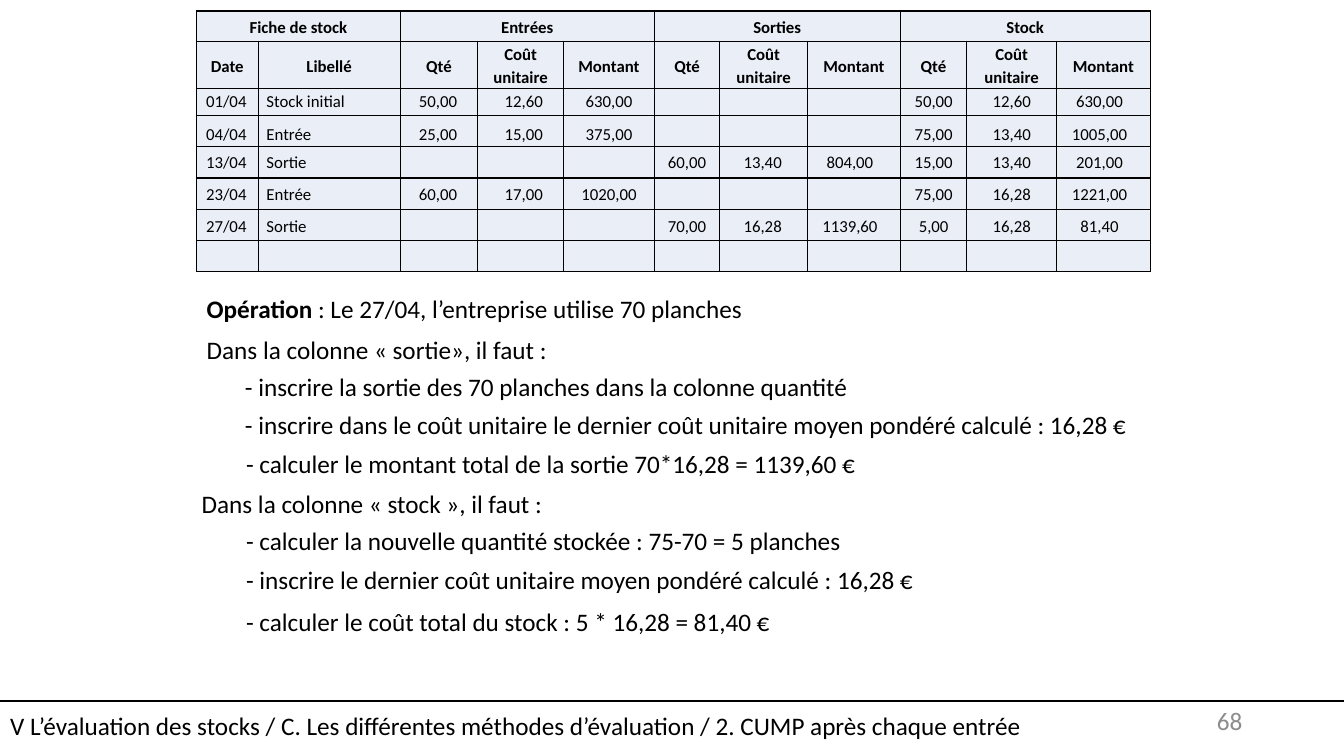
"""Build the stock card slide, on a grid of 1333 columns by 750 rows."""
import typing

import lxml.etree
import pptx
import pptx.dml.color
import pptx.enum.shapes
import pptx.enum.text
import pptx.oxml.ns
import pptx.shapes.base
import pptx.slide
import pptx.table
import pptx.text.text
import pptx.util

ALIGN = pptx.enum.text.PP_ALIGN
ANCHOR = pptx.enum.text.MSO_ANCHOR
FIT = pptx.enum.text.MSO_AUTO_SIZE
GRID_WIDTH, GRID_HEIGHT = 1333, 750
TABLE_LEFT, TABLE_TOP = 195, 11
BLACK, WHITE, GREY, PALE_BLUE = "000000", "FFFFFF", "8C8C8C", "EAEFF7"


class Column(typing.NamedTuple):
    """A table column and the entry boxes centred on it."""
    heading: str
    width: int
    box_width: int
    shift: int = 0
    align: ALIGN = ALIGN.CENTER


class Movement(typing.NamedTuple):
    """A dated stock movement with its entries by column."""
    top: int
    entries: tuple[str, ...]


class Line(typing.NamedTuple):
    """A line of the explanation."""
    text: str
    indent: int
    space: float
    lead: str = ""


COLUMNS = (
    Column("Date", 61, 63, -1),
    Column("Libellé", 141, 136, -4, ALIGN.LEFT),
    Column("Qté", 77, 71, -1),
    Column("Coût unitaire", 85, 87, 3),
    Column("Montant", 90, 87),
    Column("Qté", 65, 66),
    Column("Coût unitaire", 87, 87, -1),
    Column("Montant", 92, 87, -4),
    Column("Qté", 66, 71),
    Column("Coût unitaire", 89, 87),
    Column("Montant", 93, 87, -4),
)
GROUPS = {"Fiche de stock": 2, "Entrées": 3, "Sorties": 3, "Stock": 3}
ROW_HEIGHTS = (30, 33, 27, 31, 31, 31, 31, 31)
NONE = ("", "", "")
MOVEMENTS = (
    Movement(85, ("01/04", "Stock initial", "50,00", "12,60", "630,00", *NONE,
                  "50,00", "12,60", "630,00")),
    Movement(118, ("04/04", "Entrée", "25,00", "15,00", "375,00", *NONE,
                   "75,00", "13,40", "1005,00")),
    Movement(146, ("13/04", "Sortie", *NONE, "60,00", "13,40", "804,00",
                   "15,00", "13,40", "201,00")),
    Movement(177, ("23/04", "Entrée", "60,00", "17,00", "1020,00", *NONE,
                   "75,00", "16,28", "1221,00")),
    Movement(209, ("27/04", "Sortie", *NONE, "70,00", "16,28", "1139,60",
                   "5,00", "16,28", "81,40")),
)
EXPLANATION = (
    Line(" : Le 27/04, l’entreprise utilise 70 planches", 5, 0, "Opération"),
    Line("Dans la colonne « sortie», il faut :", 5, 7.5),
    Line("- inscrire la sortie des 70 planches dans la colonne quantité", 43, 4.7),
    Line("- inscrire dans le coût unitaire le dernier coût unitaire moyen pondéré "
         "calculé : 16,28 €", 43, 6.1),
    Line("- calculer le montant total de la sortie 70*16,28 = 1139,60 €", 44, 6.1),
    Line("Dans la colonne « stock », il faut :", 0, 6.8),
    Line("- calculer la nouvelle quantité stockée : 75-70 = 5 planches", 44, 4.7),
    Line("- inscrire le dernier coût unitaire moyen pondéré calculé : 16,28 €", 44, 6.8),
    Line("- calculer le coût total du stock : 5 * 16,28 = 81,40 €", 44, 8.2),
)
SECTION = ("V L’évaluation des stocks / C. Les différentes méthodes d’évaluation / "
           "2. CUMP après chaque entrée")


def units(count: float) -> pptx.util.Length:
    """Turn grid units into a length."""
    return pptx.util.Inches(count / 100)


def colour(code: str) -> pptx.dml.color.RGBColor:
    """Turn a hex string into a colour."""
    return pptx.dml.color.RGBColor.from_string(code)


def write(para: pptx.text.text._Paragraph, text: str, *, size: float = 18, bold: bool = False,
          ink: str = BLACK, align: ALIGN = ALIGN.LEFT) -> None:
    """Add a formatted span to a paragraph."""
    para.alignment = align
    span = para.add_run()
    span.text = text
    span.font.name, span.font.size, span.font.bold = "Calibri", pptx.util.Pt(size), bold
    span.font.color.rgb = colour(ink)


def place(shape: pptx.shapes.base.BaseShape, left: int, top: int, width: int, height: int) -> None:
    """Move a shape to its place on the grid."""
    shape.left, shape.top = units(left), units(top)
    shape.width, shape.height = units(width), units(height)


def add_label(page: pptx.slide.Slide, text: str, left: float, top: float, width: float,
              height: float, **style: typing.Any) -> None:
    """Add a one-line text box."""
    box = page.shapes.add_textbox(units(left), units(top), units(width), units(height))
    box.text_frame.word_wrap = True
    box.text_frame.auto_size = FIT.SHAPE_TO_FIT_TEXT
    write(box.text_frame.paragraphs[0], text, **style)


def format_cell(cell: pptx.table._Cell) -> None:
    """Give a cell its border, fill and margins."""
    properties = cell._tc.get_or_add_tcPr()
    for side in ("a:lnL", "a:lnR", "a:lnT", "a:lnB"):
        edge = lxml.etree.SubElement(properties, pptx.oxml.ns.qn(side), w="12700")
        fill = lxml.etree.SubElement(edge, pptx.oxml.ns.qn("a:solidFill"))
        lxml.etree.SubElement(fill, pptx.oxml.ns.qn("a:srgbClr"), val=BLACK)
    cell.fill.solid()
    cell.fill.fore_color.rgb = colour(PALE_BLUE)
    cell.vertical_anchor = ANCHOR.MIDDLE
    cell.margin_left = cell.margin_right = units(5)
    cell.margin_top = cell.margin_bottom = 0
    para = cell.text_frame.paragraphs[0]
    para.line_spacing = 1.15
    lxml.etree.SubElement(para._p, pptx.oxml.ns.qn("a:endParaRPr"), sz="1200")


def add_stock_card(page: pptx.slide.Slide) -> None:
    """Draw the stock table with its headings."""
    widths = [column.width for column in COLUMNS]
    table = page.shapes.add_table(len(ROW_HEIGHTS), len(COLUMNS), units(TABLE_LEFT),
                                  units(TABLE_TOP), units(sum(widths)),
                                  units(sum(ROW_HEIGHTS))).table
    for column, width in zip(table.columns, widths):
        column.width = units(width)
    for row, height in zip(table.rows, ROW_HEIGHTS):
        row.height = units(height)
    for cell in table.iter_cells():
        format_cell(cell)
    first = 0
    headings = [(table.cell(1, index), column.heading) for index, column in enumerate(COLUMNS)]
    for group, span in GROUPS.items():
        table.cell(0, first).merge(table.cell(0, first + span - 1))
        headings.append((table.cell(0, first), group))
        first += span
    for cell, heading in headings:
        write(cell.text_frame.paragraphs[0], heading, size=12, bold=True, align=ALIGN.CENTER)


def add_movements(page: pptx.slide.Slide) -> None:
    """Write each movement over the columns of the table."""
    for movement in MOVEMENTS:
        left = TABLE_LEFT
        for column, entry in zip(COLUMNS, movement.entries):
            if entry:
                box_left = left + (column.width - column.box_width) / 2 + column.shift
                add_label(page, entry, box_left, movement.top, column.box_width, 30,
                          size=12, align=column.align)
            left += column.width


def fill_explanation(body: pptx.shapes.base.BaseShape) -> None:
    """Write the explanation in the body placeholder."""
    place(body, 190, 286, 950, 355)
    frame = body.text_frame
    frame.auto_size, frame.vertical_anchor = FIT.NONE, ANCHOR.TOP
    for index, line in enumerate(EXPLANATION):
        para = frame.add_paragraph() if index else frame.paragraphs[0]
        properties = para._p.get_or_add_pPr()
        properties.set("marL", str(units(line.indent)))
        properties.set("indent", "0")
        lxml.etree.SubElement(properties, pptx.oxml.ns.qn("a:buNone"))
        para.space_before = pptx.util.Pt(line.space)
        if line.lead:
            write(para, line.lead, bold=True)
        write(para, line.text)


def fill_section(title: pptx.shapes.base.BaseShape) -> None:
    """Write the section heading at the foot of the slide."""
    place(title, 0, 690, GRID_WIDTH, 60)
    title.line.color.rgb = colour(WHITE)
    title.line.width = pptx.util.Pt(1)
    title.text_frame.auto_size = FIT.NONE
    title.text_frame.vertical_anchor = ANCHOR.MIDDLE
    write(title.text_frame.paragraphs[0], SECTION)


def main() -> None:
    """Build the deck and save it."""
    deck = pptx.Presentation()
    deck.slide_width, deck.slide_height = units(GRID_WIDTH), units(GRID_HEIGHT)
    page = deck.slides.add_slide(deck.slide_layouts[1])
    rule = page.shapes.add_connector(pptx.enum.shapes.MSO_CONNECTOR.STRAIGHT, 0, units(695),
                                     units(GRID_WIDTH), units(695))
    rule.line.color.rgb, rule.line.width = colour(BLACK), pptx.util.Pt(1.5)
    lxml.etree.SubElement(rule._element.spPr, pptx.oxml.ns.qn("a:effectLst"))
    add_stock_card(page)
    add_movements(page)
    fill_explanation(page.placeholders[1])
    fill_section(page.shapes.title)
    add_label(page, "68", 942, 695, 300, 40, ink=GREY, align=ALIGN.RIGHT)
    deck.save("out.pptx")


if __name__ == "__main__":
    main()
